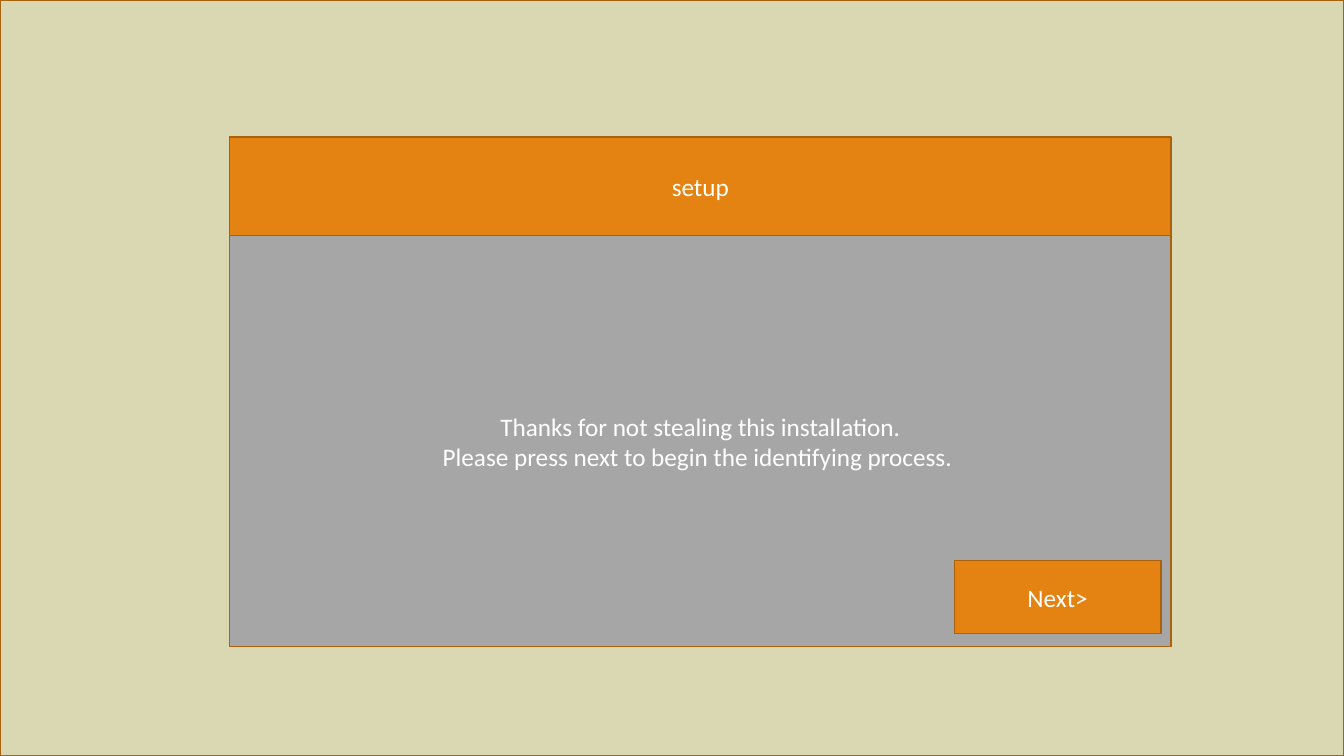
from pptx import Presentation
from pptx.dml.color import RGBColor
from pptx.enum.shapes import MSO_SHAPE
from pptx.enum.text import MSO_ANCHOR, PP_ALIGN
from pptx.util import Cm, Pt

SLIDE_WIDTH, SLIDE_HEIGHT = 33.87, 19.05
SAND, GREY, ORANGE, BROWN, WHITE = "DAD7B3", "A6A6A6", "E48312", "A9610D", "FFFFFF"


def color(hex_value):
    return RGBColor.from_string(hex_value)


def add_panel(page, left, top, width, height, fill, lines=()):
    """Add an outlined rectangle with one centred paragraph per line."""
    box = page.shapes.add_shape(
        MSO_SHAPE.RECTANGLE, Cm(left), Cm(top), Cm(width), Cm(height))
    box.shadow.inherit = False
    box.fill.solid()
    box.fill.fore_color.rgb = color(fill)
    box.line.color.rgb = color(BROWN)
    box.line.width = Pt(1)
    frame = box.text_frame
    frame.word_wrap = True
    frame.vertical_anchor = MSO_ANCHOR.MIDDLE
    for index, line in enumerate(lines):
        para = frame.add_paragraph() if index else frame.paragraphs[0]
        para.text = line
        para.alignment = PP_ALIGN.CENTER
        para.font.name = "Calibri"
        para.font.size = Pt(18)
        para.font.color.rgb = color(WHITE)


def add_setup_window(page, left, top, width, height):
    """Add the message area, title bar and button of the setup window."""
    title_height = 2.49
    button_width, button_height = 5.21, 1.85
    right_margin, bottom_margin = 0.25, 0.33
    add_panel(page, left, top + title_height, width, height - title_height, GREY,
              ["Thanks for not stealing this installation.",
               "Please press next to begin the identifying process. "])
    add_panel(page, left, top, width, title_height, ORANGE, ["setup"])
    add_panel(page, left + width - right_margin - button_width,
              top + height - bottom_margin - button_height,
              button_width, button_height, ORANGE, ["Next>"])


def main():
    deck = Presentation()
    deck.slide_width, deck.slide_height = Cm(SLIDE_WIDTH), Cm(SLIDE_HEIGHT)
    page = deck.slides.add_slide(deck.slide_layouts[6])
    add_panel(page, 0, 0, SLIDE_WIDTH, SLIDE_HEIGHT, SAND)
    add_setup_window(page, 5.79, 3.45, 23.72, 12.85)
    deck.save("out.pptx")


if __name__ == "__main__":
    main()
